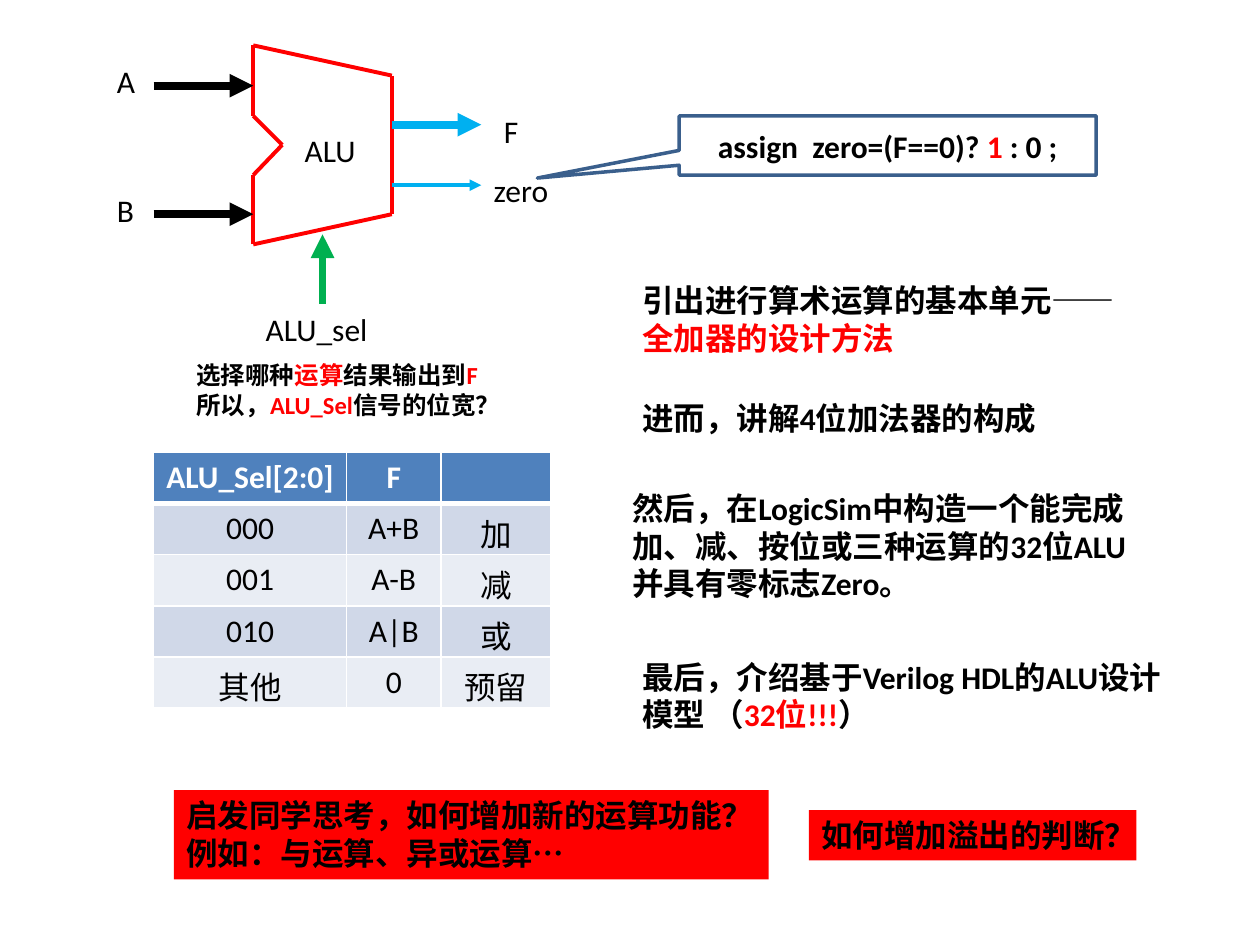
from lxml.etree import SubElement
from pptx import Presentation
from pptx.dml.color import RGBColor
from pptx.enum.shapes import MSO_CONNECTOR, MSO_SHAPE
from pptx.enum.text import MSO_ANCHOR, PP_ALIGN
from pptx.oxml.ns import qn
from pptx.util import Inches, Pt

FONT = "Calibri"
BLACK = RGBColor(0x00, 0x00, 0x00)
WHITE = RGBColor(0xFF, 0xFF, 0xFF)
RED = RGBColor(0xFF, 0x00, 0x00)
CYAN = RGBColor(0x00, 0xB0, 0xF0)
GREEN = RGBColor(0x00, 0xB0, 0x50)
NAVY = RGBColor(0x3A, 0x5F, 0x8C)
HEADER_BLUE = RGBColor(0x4F, 0x81, 0xBD)
BANDS = [RGBColor(0xD0, 0xD8, 0xE8), RGBColor(0xE9, 0xED, 0xF4)]


def add_runs(paragraph, runs, size=18, bold=False):
    """Append (text, colour) runs to a paragraph."""
    for text, colour in runs:
        run = paragraph.add_run()
        run.text = text
        run.font.name = FONT
        run.font.size = Pt(size)
        run.font.bold = bold
        run.font.color.rgb = colour


def add_text(slide, box, paragraphs, size=18, bold=False, fill=None):
    """Place a wrapping text box, optionally filled."""
    shape = slide.shapes.add_textbox(*(Inches(value) for value in box))
    frame = shape.text_frame
    frame.word_wrap = True
    if fill is not None:
        shape.fill.solid()
        shape.fill.fore_color.rgb = fill
    for index, runs in enumerate(paragraphs):
        paragraph = frame.add_paragraph() if index else frame.paragraphs[0]
        add_runs(paragraph, runs, size, bold)


def add_line(slide, start, end, colour, width, arrow=False):
    """Draw a straight line, optionally ending in an arrowhead."""
    connector = slide.shapes.add_connector(
        MSO_CONNECTOR.STRAIGHT, *(Inches(value) for value in (*start, *end)))
    connector.line.color.rgb = colour
    connector.line.width = Pt(width)
    if arrow:
        SubElement(connector.line._get_or_add_ln(), qn("a:tailEnd"), type="triangle")
    SubElement(connector._element.spPr, qn("a:effectLst"))


def add_alu_diagram(slide, left, top):
    """Draw the ALU outline with its ports and labels."""
    def at(x, y):
        return left + x, top + y

    outline = [(1.18, 0), (2.28, 0.24), (2.28, 1.34), (1.18, 1.58),
               (1.18, 1.03), (1.41, 0.79), (1.18, 0.56), (1.18, 0)]
    for start, end in zip(outline, outline[1:]):
        add_line(slide, at(*start), at(*end), RED, 2.25)

    ports = [((0.39, 0.32), (1.18, 0.32), BLACK, 4.5),
             ((0.39, 1.34), (1.18, 1.34), BLACK, 4.5),
             ((2.28, 0.63), (2.99, 0.63), CYAN, 4.5),
             ((2.28, 1.11), (2.99, 1.11), CYAN, 2.25),
             ((1.73, 2.05), (1.73, 1.5), GREEN, 4.5)]
    for start, end, colour, width in ports:
        add_line(slide, at(*start), at(*end), colour, width, arrow=True)

    labels = [("ALU", 1.49, 0.63, 0.71), ("A", 0, 0.08, 0.39), ("B", 0, 1.11, 0.31),
              ("F", 3.07, 0.48, 0.31), ("zero", 2.99, 0.95, 0.71),
              ("ALU_sel", 1.18, 2.05, 1.1)]
    for text, x, y, width in labels:
        add_text(slide, (*at(x, y), width, 0.4), [[(text, BLACK)]])


def add_zero_callout(slide, left, top, width, height):
    """Add the callout that defines the zero flag."""
    shape = slide.shapes.add_shape(
        MSO_SHAPE.RECTANGULAR_CALLOUT,
        Inches(left), Inches(top), Inches(width), Inches(height))
    shape.shadow.inherit = False
    shape.adjustments[0] = -0.84
    shape.adjustments[1] = 0.55
    shape.fill.solid()
    shape.fill.fore_color.rgb = WHITE
    shape.line.color.rgb = NAVY
    shape.line.width = Pt(2)
    shape.text_frame.word_wrap = True
    shape.text_frame.vertical_anchor = MSO_ANCHOR.MIDDLE
    paragraph = shape.text_frame.paragraphs[0]
    paragraph.alignment = PP_ALIGN.CENTER
    add_runs(paragraph, [("assign  zero=(F==0)? ", BLACK), ("1", RED), (" : 0 ;", BLACK)],
             bold=True)


def format_cell(cell, text, fill, is_header):
    """Set borders, fill and centred text of a table cell."""
    properties = cell._tc.get_or_add_tcPr()
    for side in ("lnL", "lnR", "lnT", "lnB"):
        width = Pt(3) if is_header and side == "lnB" else Pt(1)
        line = SubElement(properties, qn(f"a:{side}"), w=str(width))
        SubElement(SubElement(line, qn("a:solidFill")), qn("a:srgbClr"), val=str(WHITE))
    cell.fill.solid()
    cell.fill.fore_color.rgb = fill
    if text:
        paragraph = cell.text_frame.paragraphs[0]
        paragraph.alignment = PP_ALIGN.CENTER
        add_runs(paragraph, [(text, WHITE if is_header else BLACK)], bold=is_header)


def add_operation_table(slide, left, top, width, height):
    """Add the table of ALU selection codes."""
    rows = [("ALU_Sel[2:0]", "F", ""), ("000", "A+B", "加"), ("001", "A-B", "减"),
            ("010", "A|B", "或"), ("其他", "0", "预留")]
    table = slide.shapes.add_table(
        len(rows), 3, Inches(left), Inches(top), Inches(width), Inches(height)).table
    for column, column_width in zip(table.columns, (1.53, 0.75, 0.87)):
        column.width = Inches(column_width)
    for row_index, row in enumerate(rows):
        is_header = row_index == 0
        fill = HEADER_BLUE if is_header else BANDS[(row_index - 1) % 2]
        for column_index, text in enumerate(row):
            format_cell(table.cell(row_index, column_index), text, fill, is_header)


def add_selection_note(slide, left, top, width, height):
    """Add the question about the width of the selection signal."""
    add_text(slide, (left, top, width, height), [
        [("选择哪种", BLACK), ("运算", RED), ("结果输出到", BLACK), ("F", RED)],
        [("所以，", BLACK), ("ALU_Sel", RED), ("信号的位宽？", BLACK)],
    ], size=14, bold=True)


def add_teaching_steps(slide, left, top):
    """Add the four teaching steps down the right side."""
    steps = [
        (0.08, 0, 4.02, 0.71,
         [("引出进行算术运算的基本单元——", BLACK), ("全加器的设计方法", RED)]),
        (0.08, 0.94, 3.36, 0.71, [("进而，讲解4位加法器的构成", BLACK)]),
        (0, 1.65, 4.25, 1.01,
         [("然后，在LogicSim中构造一个能完成加、减、按位或三种运算的32位ALU并具有零标志Zero。", BLACK)]),
        (0.08, 2.99, 4.33, 0.71,
         [("最后，介绍基于Verilog HDL的ALU设计模型 （", BLACK), ("32位!!!", RED), ("）", BLACK)]),
    ]
    for x, y, width, height, runs in steps:
        add_text(slide, (left + x, top + y, width, height), [runs], bold=True)


def add_questions(slide, left, top):
    """Add the two red discussion questions."""
    questions = [
        (0, 0, 4.72, 0.71, "启发同学思考，如何增加新的运算功能？例如：与运算、异或运算…"),
        (5.04, 0.16, 2.6, 0.4, "如何增加溢出的判断？"),
    ]
    for x, y, width, height, text in questions:
        add_text(slide, (left + x, top + y, width, height), [[(text, BLACK)]],
                 bold=True, fill=RED)


def main():
    """Build and save the slide."""
    presentation = Presentation()
    presentation.slide_width = Inches(10)
    presentation.slide_height = Inches(7.5)
    slide = presentation.slides.add_slide(presentation.slide_layouts[6])
    add_selection_note(slide, 1.46, 2.81, 2.68, 0.57)
    add_teaching_steps(slide, 4.92, 2.18)
    add_questions(slide, 1.38, 6.27)
    add_alu_diagram(slide, 0.83, 0.36)
    add_zero_callout(slide, 5.39, 0.92, 3.31, 0.47)
    add_operation_table(slide, 1.22, 3.59, 3.15, 2.03)
    presentation.save("out.pptx")


if __name__ == "__main__":
    main()
